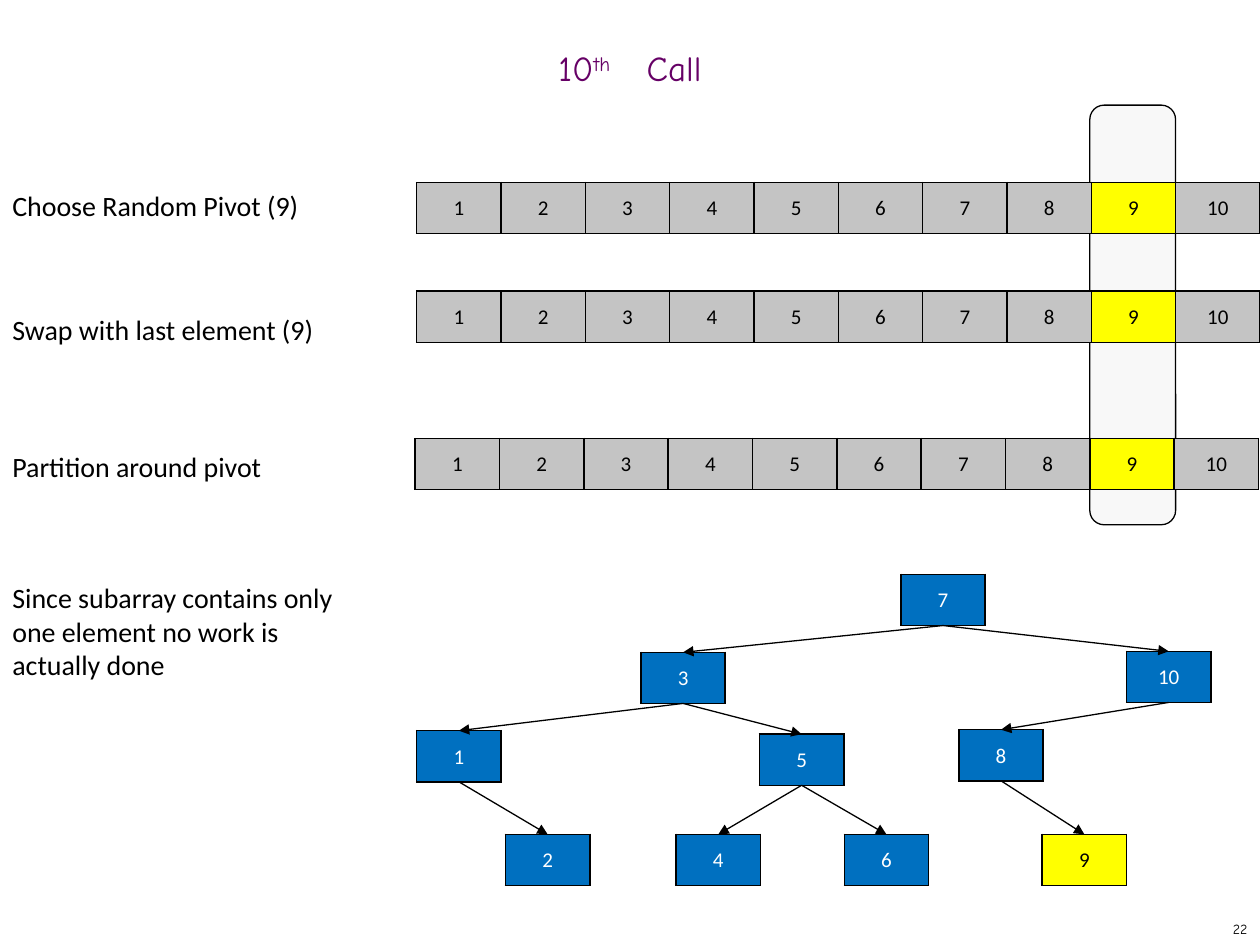
from lxml.etree import SubElement
from pptx import Presentation
from pptx.dml.color import RGBColor
from pptx.enum.shapes import MSO_CONNECTOR, MSO_SHAPE
from pptx.enum.text import MSO_ANCHOR, MSO_AUTO_SIZE, PP_ALIGN
from pptx.oxml import parse_xml
from pptx.oxml.ns import nsdecls, qn
from pptx.util import Cm, Pt

BLACK = RGBColor(0x00, 0x00, 0x00)
WHITE = RGBColor(0xFF, 0xFF, 0xFF)
PURPLE = RGBColor(0x66, 0x00, 0x66)
GRAY = RGBColor(0xC4, 0xC4, 0xC4)
SILVER = RGBColor(0xC0, 0xC0, 0xC0)
YELLOW = RGBColor(0xFF, 0xFF, 0x00)
BLUE = RGBColor(0x00, 0x70, 0xC0)

CELL_WIDTH = 1.7
CELL_HEIGHT = 1.03
PIVOT = 9

LABELS = [
    ("Choose Random Pivot (9)", 3.68, 6.65, 0.94),
    ("Swap with last element (9)", 6.17, 6.65, 0.94),
    ("Partition around pivot", 8.94, 6.65, 0.94),
    ("Since subarray contains only one element no work is actually done",
     11.58, 7.52, 2.31),
]
ARRAY_ROWS = [(8.37, 8.84), (8.4, 3.68), (8.4, 5.87)]
TREE_NODES = {
    7: (18.16, 11.58),
    3: (12.92, 13.15),
    10: (22.71, 13.13),
    1: (8.4, 14.73),
    5: (15.31, 14.8),
    8: (19.33, 14.71),
    2: (10.19, 16.82),
    4: (13.63, 16.82),
    6: (17.02, 16.82),
    9: (21.01, 16.82),
}
TREE_EDGES = [(7, 3), (7, 10), (3, 1), (3, 5), (1, 2), (5, 4), (5, 6), (10, 8), (8, 9)]


class SlideBuilder:
    heading_font = "Comic Neue"
    body_font = "Calibri"

    def __init__(self, slide):
        self.slide = slide

    def style(self, paragraph, name, size, color):
        for run in paragraph.runs:
            run.font.name = name
            run.font.size = Pt(size)
            run.font.color.rgb = color

    def title(self, number, suffix, word):
        shape = self.slide.shapes.title
        shape.left, shape.top, shape.width, shape.height = Cm(0), Cm(0.84), Cm(25.4), Cm(1.27)
        frame = shape.text_frame
        frame.auto_size = MSO_AUTO_SIZE.NONE
        frame.vertical_anchor = MSO_ANCHOR.MIDDLE
        paragraph = frame.paragraphs[0]
        paragraph.alignment = PP_ALIGN.CENTER
        paragraph.line_spacing = 0.7
        for text in (number, suffix, " ", word):
            paragraph.add_run().text = text
        self.style(paragraph, self.heading_font, 20, PURPLE)
        superscript, gap = paragraph.runs[1:3]
        superscript.font._element.set("baseline", "30000")
        gap.font._element.set("spc", "1400")

    def label(self, text, top, width, height):
        box = self.slide.shapes.add_textbox(Cm(0), Cm(top), Cm(width), Cm(height))
        frame = box.text_frame
        frame.word_wrap = True
        frame.auto_size = MSO_AUTO_SIZE.SHAPE_TO_FIT_TEXT
        frame.text = text
        self.style(frame.paragraphs[0], self.body_font, 16, BLACK)

    def page_number(self, text):
        box = self.slide.shapes.add_textbox(Cm(20.12), Cm(18.42), Cm(5.28), Cm(0.63))
        frame = box.text_frame
        frame.word_wrap = True
        frame.vertical_anchor = MSO_ANCHOR.MIDDLE
        frame.text = text
        paragraph = frame.paragraphs[0]
        paragraph.alignment = PP_ALIGN.RIGHT
        self.style(paragraph, self.heading_font, 8, BLACK)

    def pivot_band(self, left, top, width, height):
        band = self.slide.shapes.add_shape(
            MSO_SHAPE.ROUNDED_RECTANGLE, Cm(left), Cm(top), Cm(width), Cm(height))
        band.shadow.inherit = False
        band.fill.solid()
        band.fill.fore_color.rgb = SILVER
        color = band._element.spPr.find(qn("a:solidFill"))[0]
        SubElement(color, qn("a:alpha")).set("val", "10000")
        band.line.color.rgb = BLACK
        band.line.width = Pt(0.75)

    def cell(self, value, left, top, fill, color):
        frame = self.slide.shapes.add_table(
            1, 1, Cm(left), Cm(top), Cm(CELL_WIDTH), Cm(CELL_HEIGHT))
        table = frame.table
        table.first_row = False
        table.horz_banding = False
        cell = table.cell(0, 0)
        cell.text = str(value)
        cell.vertical_anchor = MSO_ANCHOR.MIDDLE
        cell.margin_left = cell.margin_right = cell.margin_top = Cm(0.03)
        cell.margin_bottom = Cm(0)
        cell.fill.solid()
        cell.fill.fore_color.rgb = fill
        paragraph = cell.text_frame.paragraphs[0]
        paragraph.alignment = PP_ALIGN.CENTER
        self.style(paragraph, self.body_font, 12, color)
        properties = cell._tc.get_or_add_tcPr()
        for position, side in enumerate("LRTB"):
            properties.insert(position, parse_xml(
                f'<a:ln{side} {nsdecls("a")} w="12700"><a:solidFill>'
                f'<a:srgbClr val="{BLACK}"/></a:solidFill></a:ln{side}>'))
        return frame

    def array(self, left, top):
        for value in range(1, 11):
            fill = YELLOW if value == PIVOT else GRAY
            self.cell(value, left + (value - 1) * CELL_WIDTH, top, fill, BLACK)

    def arrow(self, parent, child):
        connector = self.slide.shapes.add_connector(
            MSO_CONNECTOR.STRAIGHT, Cm(0), Cm(0), Cm(0), Cm(0))
        connector.begin_connect(parent, 2)
        connector.end_connect(child, 0)
        connector.line.color.rgb = BLACK
        connector.line.width = Pt(0.75)
        line = connector.line._get_or_add_ln()
        SubElement(line, qn("a:tailEnd")).set("type", "triangle")
        SubElement(connector._element.spPr, qn("a:effectLst"))

    def tree(self, positions, edges):
        nodes = {}
        for value, (left, top) in positions.items():
            fill, color = (YELLOW, BLACK) if value == PIVOT else (BLUE, WHITE)
            nodes[value] = self.cell(value, left, top, fill, color)
        for parent, child in edges:
            self.arrow(nodes[parent], nodes[child])


def main():
    presentation = Presentation()
    presentation.slide_width = Cm(25.4)
    presentation.slide_height = Cm(19.05)
    slide = presentation.slides.add_slide(presentation.slide_layouts[5])
    builder = SlideBuilder(slide)
    builder.page_number("22")
    builder.title("10", "th", "Call")
    for label in LABELS:
        builder.label(*label)
    builder.pivot_band(21.97, 2.12, 1.73, 8.46)
    for left, top in ARRAY_ROWS:
        builder.array(left, top)
    builder.tree(TREE_NODES, TREE_EDGES)
    presentation.save("out.pptx")


if __name__ == "__main__":
    main()
